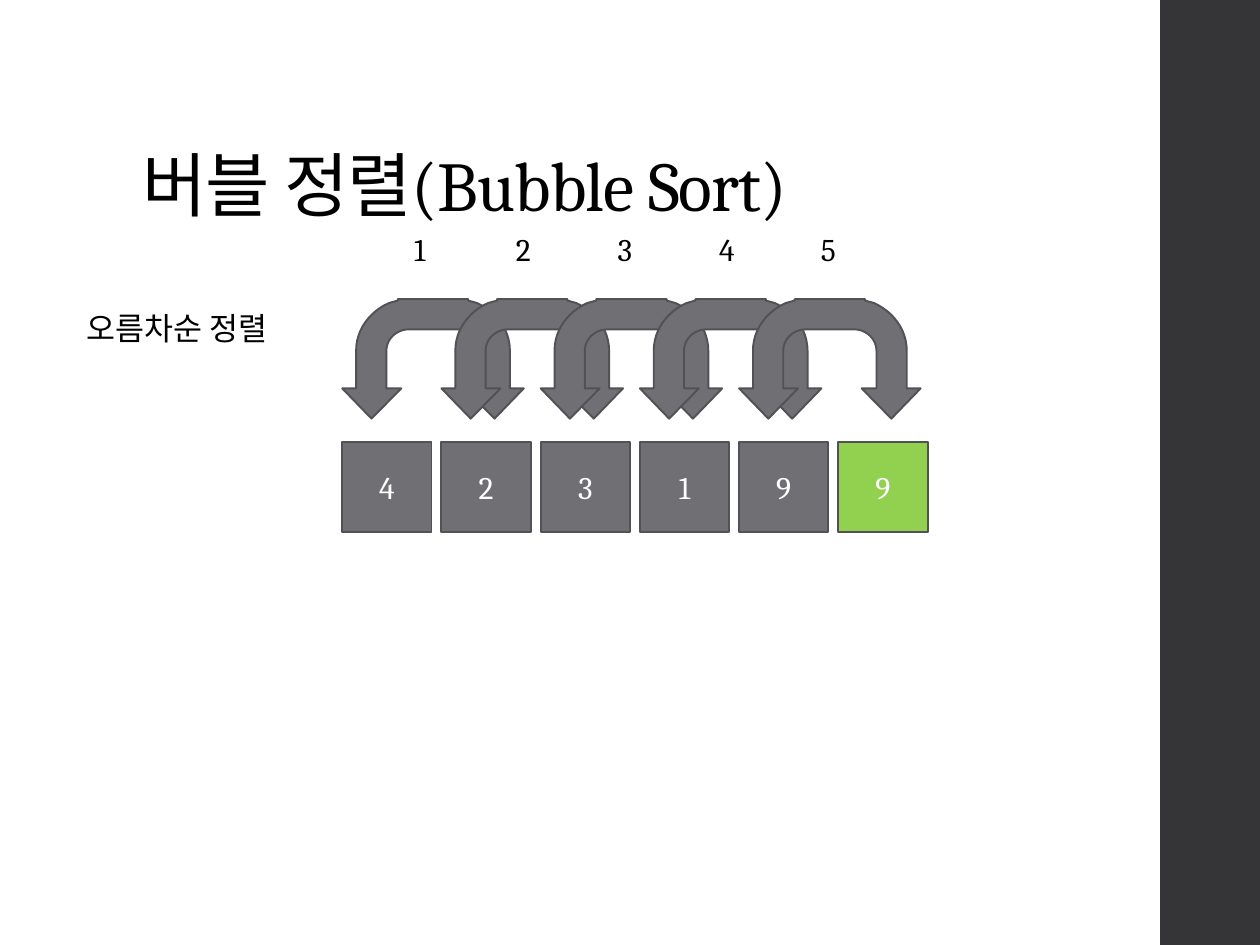
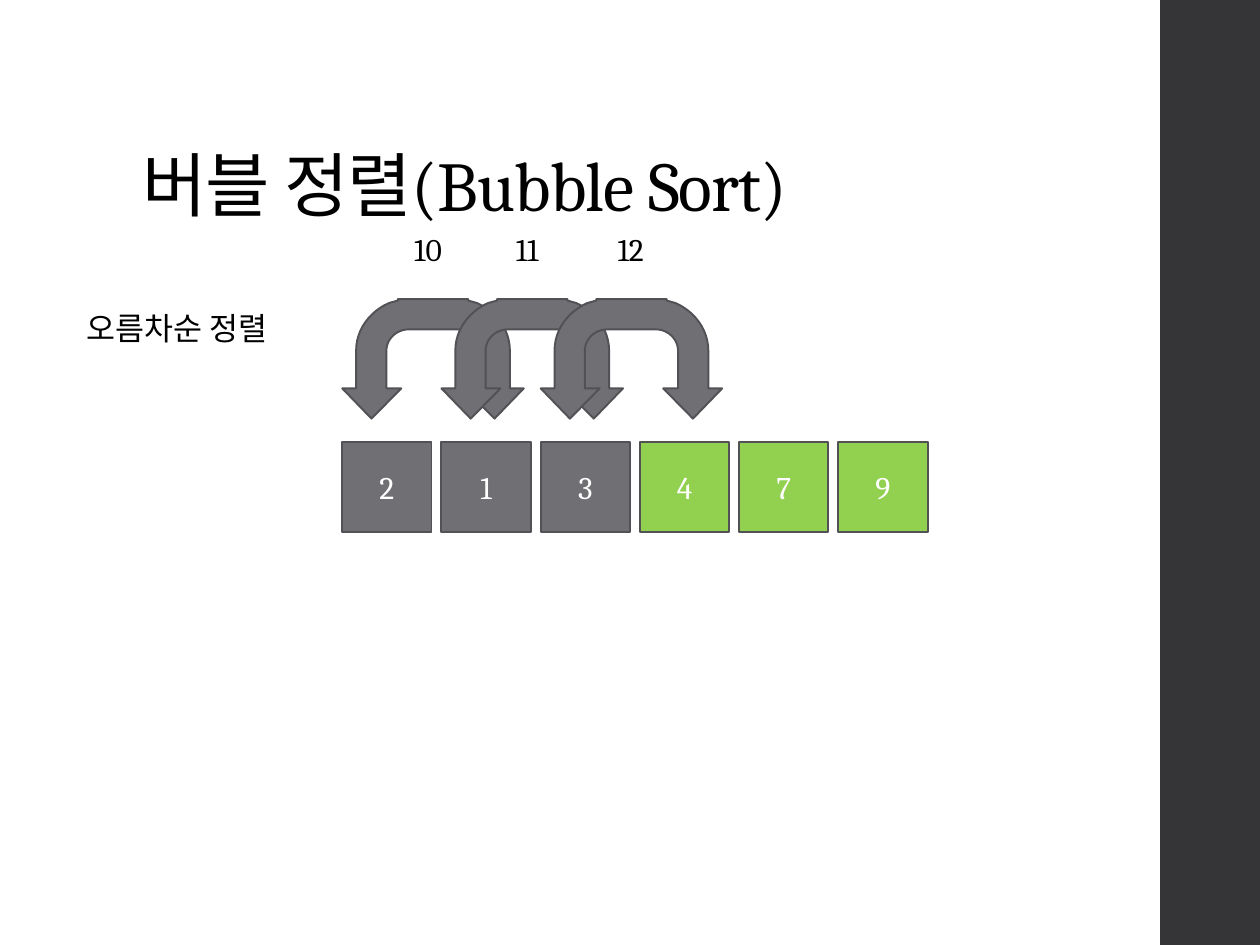
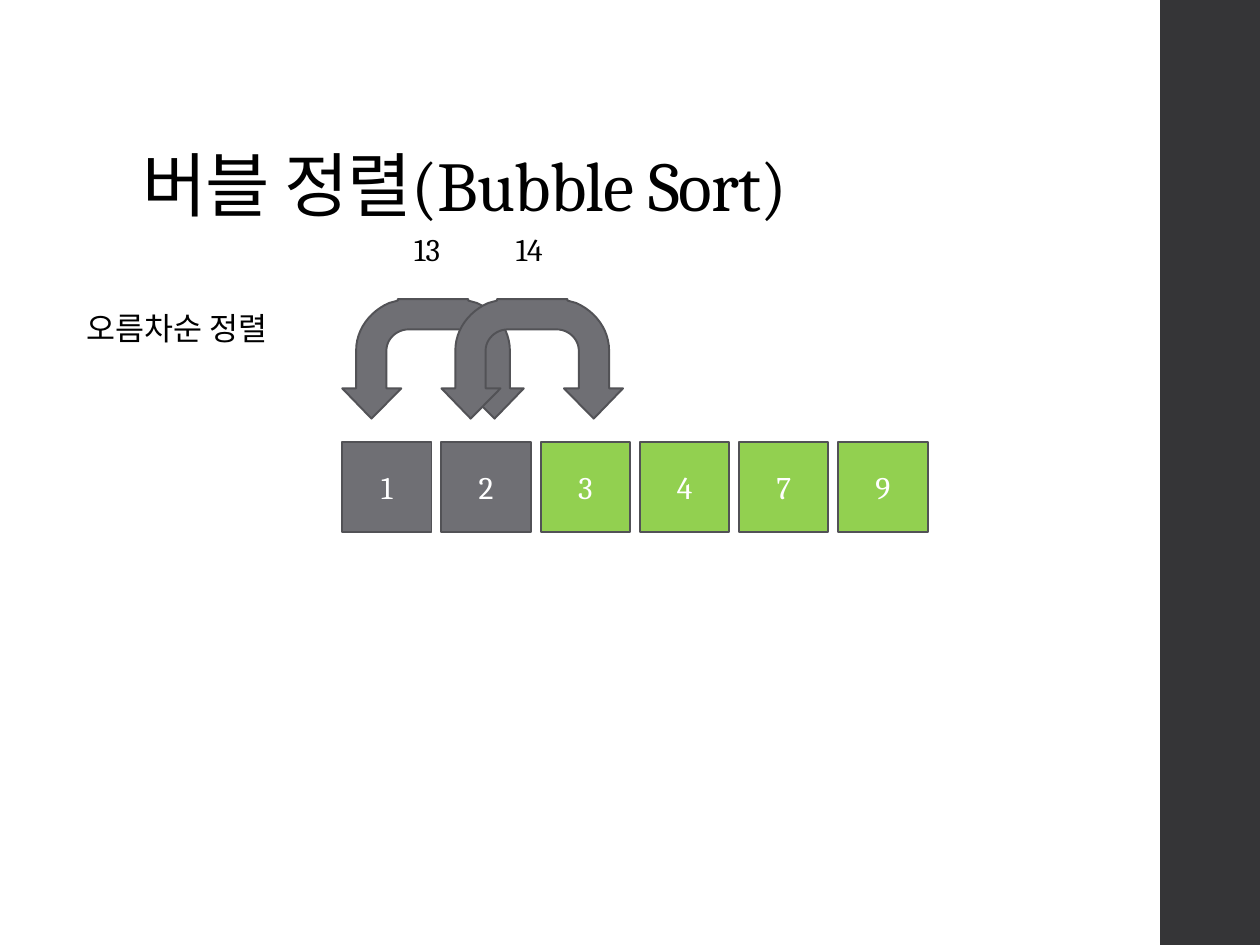
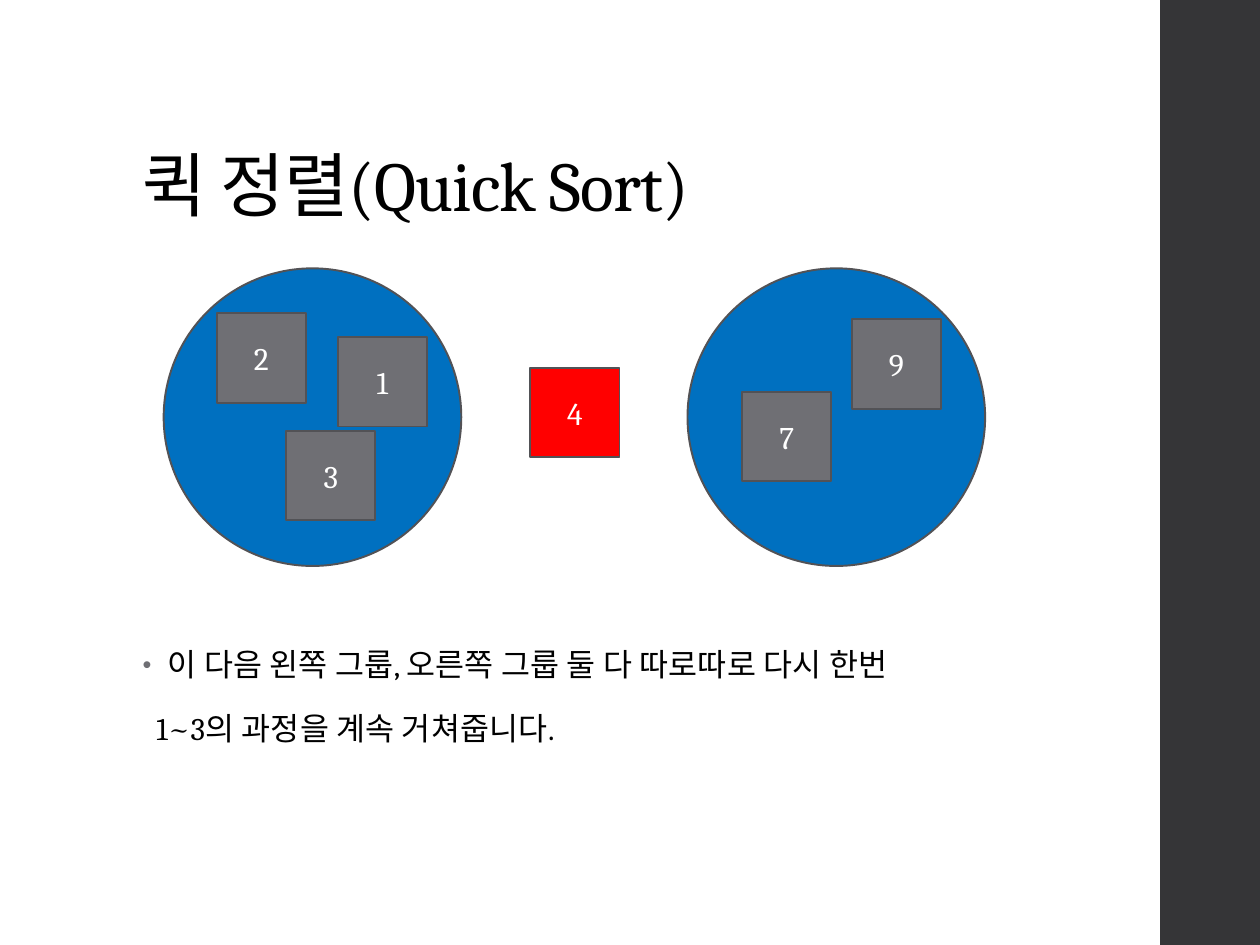
from dataclasses import dataclass
from typing import Optional

from lxml import etree
from pptx import Presentation
from pptx import util as u
from pptx.dml.color import RGBColor
from pptx.enum import shapes, text
from pptx.oxml.ns import qn

FONT = "Cambria"
BLACK = RGBColor(0x00, 0x00, 0x00)
WHITE = RGBColor(0xFF, 0xFF, 0xFF)
BAND = RGBColor(0x35, 0x35, 0x37)
GRAY = RGBColor(0x6F, 0x6F, 0x74)
EDGE = RGBColor(0x52, 0x52, 0x56)
GREEN = RGBColor(0x92, 0xD0, 0x50)
BLUE = RGBColor(0x00, 0x70, 0xC0)
RED = RGBColor(0xFF, 0x00, 0x00)

RECT = shapes.MSO_SHAPE.RECTANGLE
OVAL = shapes.MSO_SHAPE.OVAL
TITLE_ONLY, TITLE_AND_CONTENT = 5, 1

BOX_SIZE, BOX_PITCH = 1.8, 2.0
ROW_LEFT, ROW_TOP = 6.9, 8.92
ARROW_TOP, ARROW_HALF = 6.03, 1.83
STEP_LEFT, STEP_TOP, STEP_PITCH = 8.1, 4.52, 2.05
CIRCLE_SIZE = 6.0


@dataclass(frozen=True)
class Area:
    x: float
    y: float
    w: float
    h: float

    def lengths(self) -> list:
        return [u.Cm(v) for v in (self.x, self.y, self.w, self.h)]


@dataclass(frozen=True)
class BubblePass:
    values: str
    first_step: int
    compared: int


@dataclass(frozen=True)
class Item:
    value: str
    x: float
    y: float
    color: RGBColor = GRAY


TITLE_AREA = Area(2.62, 1.02, 20.19, 3.68)
BODY_AREA = Area(2.62, 12.93, 17.91, 4.24)
BAND_AREA = Area(23.39, 0, 2.01, 19.05)
LABEL_AREA = Area(1.5, 6.1, 4.6, 1.02)

PASSES = [
    BubblePass("423199", 1, 5),
    BubblePass("213479", 10, 3),
    BubblePass("123479", 13, 2),
]
GROUPS = [Area(x, 5.41, CIRCLE_SIZE, CIRCLE_SIZE) for x in (3.3, 13.86)]
ITEMS = [
    Item("2", 4.37, 6.32),
    Item("3", 5.77, 8.69),
    Item("1", 6.81, 6.8),
    Item("9", 17.17, 6.44),
    Item("7", 14.96, 7.9),
    Item("4", 10.69, 7.42, RED),
]


def add_run(p, content: str, size: float = 18, color: RGBColor = BLACK,
            tracking: int = 0) -> None:
    r = p.add_run()
    r.text = content
    r.font.size = u.Pt(size)
    r.font.name = FONT
    r.font.color.rgb = color
    if tracking:
        r._r.get_or_add_rPr().set("spc", str(tracking))


def paint(sp, fill: RGBColor, edge: Optional[RGBColor] = EDGE) -> None:
    sp.shadow.inherit = False
    sp.fill.solid()
    sp.fill.fore_color.rgb = fill
    if edge is None:
        sp.line.fill.background()
    else:
        sp.line.color.rgb = edge
        sp.line.width = u.Pt(1.1)


def place(sp, area: Area) -> None:
    sp.left, sp.top, sp.width, sp.height = area.lengths()


def add_band(prs, s) -> None:
    sp = s.shapes.add_shape(RECT, *BAND_AREA.lengths())
    paint(sp, BAND, None)
    prs.slide_master.shapes.element.insert(2, sp.element)


def add_titled_slide(prs, layout: int, title: str):
    s = prs.slides.add_slide(prs.slide_layouts[layout])
    sp = s.shapes.title
    place(sp, TITLE_AREA)
    tf = sp.text_frame
    tf.auto_size = text.MSO_AUTO_SIZE.NONE
    tf.vertical_anchor = text.MSO_ANCHOR.BOTTOM
    p = tf.paragraphs[0]
    p.alignment = text.PP_ALIGN.LEFT
    p.line_spacing = 0.9
    add_run(p, title, 40, tracking=-50)
    return s


def add_item(s, item: Item) -> None:
    area = Area(item.x, item.y, BOX_SIZE, BOX_SIZE)
    sp = s.shapes.add_shape(RECT, *area.lengths())
    paint(sp, item.color)
    tf = sp.text_frame
    tf.vertical_anchor = text.MSO_ANCHOR.MIDDLE
    p = tf.paragraphs[0]
    p.alignment = text.PP_ALIGN.CENTER
    add_run(p, item.value, color=WHITE)


def add_label(s, content: str, area: Area) -> None:
    tf = s.shapes.add_textbox(*area.lengths()).text_frame
    tf.word_wrap = False
    tf.auto_size = text.MSO_AUTO_SIZE.SHAPE_TO_FIT_TEXT
    add_run(tf.paragraphs[0], content)


def bezier(a: tuple, b: tuple, c: tuple, d: tuple, steps: int = 12) -> list:
    points = []
    for i in range(steps + 1):
        t = i / steps
        weights = ((1 - t) ** 3, 3 * t * (1 - t) ** 2, 3 * t * t * (1 - t), t ** 3)
        points.append(tuple(sum(w * q[k] for w, q in zip(weights, (a, b, c, d)))
                            for k in (0, 1)))
    return points


def arrow_outline() -> list:
    outer = bezier((0.89, 0.08), (1.27, 0.25), (1.55, 0.61), (1.55, 1.04))
    head = [(1.55, 1.8), (ARROW_HALF, 1.8), (1.24, 2.41), (0.64, 1.8), (0.94, 1.8)]
    inner = bezier((0.94, 1.04), (0.94, 0.81), (0.74, 0.61), (0.48, 0.61))
    right = [(0.71, 0), (0.71, 0.03), *outer, *head, *inner]
    return right + [(-x, y) for x, y in reversed(right)]


def add_swap_arrow(s, left: float) -> None:
    points = [(u.Cm(left + ARROW_HALF + x), u.Cm(ARROW_TOP + y))
              for x, y in arrow_outline()]
    builder = s.shapes.build_freeform(*points[0])
    builder.add_line_segments(points[1:], close=True)
    paint(builder.convert_to_shape(), GRAY)


def add_bubble_slide(prs, bubble: BubblePass):
    s = add_titled_slide(prs, TITLE_ONLY, "버블 정렬(Bubble Sort)")
    add_label(s, "오름차순 정렬", LABEL_AREA)
    for i, value in enumerate(bubble.values):
        color = GRAY if i < bubble.compared else GREEN
        add_item(s, Item(value, ROW_LEFT + i * BOX_PITCH, ROW_TOP, color))
    for i in range(bubble.compared):
        add_swap_arrow(s, ROW_LEFT + i * BOX_PITCH)
        step = str(bubble.first_step + i)
        width = 0.86 if len(step) == 1 else 1.22
        add_label(s, step, Area(STEP_LEFT + i * STEP_PITCH, STEP_TOP, width, 1.02))
    return s


def add_body_line(p, content: str, margin: float, bulleted: bool) -> None:
    p.line_spacing = 0.95
    p.space_before = u.Pt(14)
    p.space_after = u.Pt(2)
    pPr = p._p.get_or_add_pPr()
    pPr.set("marL", str(u.Cm(margin)))
    pPr.set("indent", str(u.Cm(-margin if bulleted else 0)))
    if bulleted:
        color = etree.SubElement(pPr, qn("a:buClr"))
        etree.SubElement(color, qn("a:srgbClr"), val=str(GRAY))
        etree.SubElement(pPr, qn("a:buSzPct"), val="80000")
        etree.SubElement(pPr, qn("a:buFont"), typeface="Arial")
        etree.SubElement(pPr, qn("a:buChar"), char="•")
    else:
        etree.SubElement(pPr, qn("a:buNone"))
    add_run(p, content, tracking=10)


def add_quick_slide(prs) -> None:
    s = add_titled_slide(prs, TITLE_AND_CONTENT, "퀵 정렬(Quick Sort)")
    body = s.placeholders[1]
    place(body, BODY_AREA)
    tf = body.text_frame
    tf.auto_size = text.MSO_AUTO_SIZE.NONE
    add_body_line(tf.paragraphs[0],
                  "이 다음 왼쪽 그룹, 오른쪽 그룹 둘 다 따로따로 다시 한번", 0.51, True)
    add_body_line(tf.add_paragraph(), "1~3의 과정을 계속 거쳐줍니다.", 0.28, False)
    for group in GROUPS:
        paint(s.shapes.add_shape(OVAL, *group.lengths()), BLUE)
    for item in ITEMS:
        add_item(s, item)


def main() -> None:
    prs = Presentation()
    prs.slide_width, prs.slide_height = u.Cm(25.4), u.Cm(19.05)
    slides = [add_bubble_slide(prs, bubble) for bubble in PASSES]
    add_band(prs, slides[0])
    add_quick_slide(prs)
    prs.save("out.pptx")


if __name__ == "__main__":
    main()
